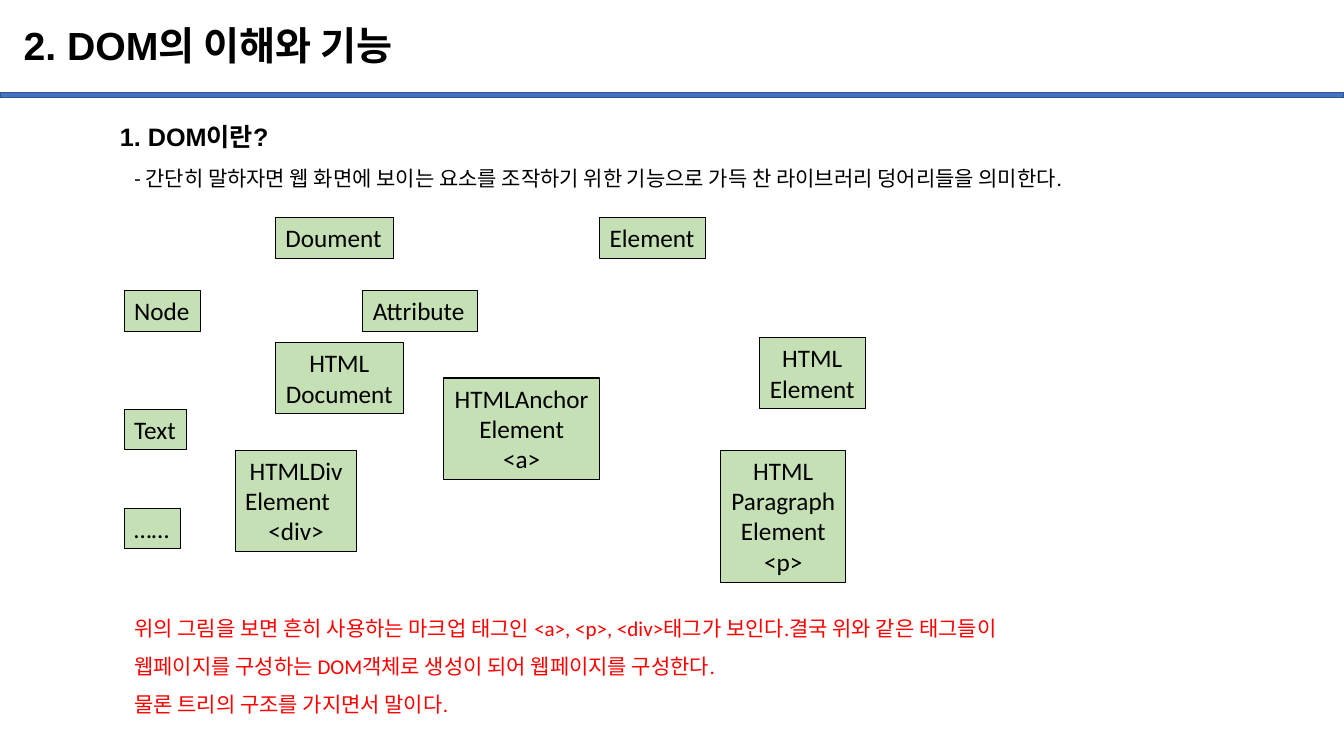
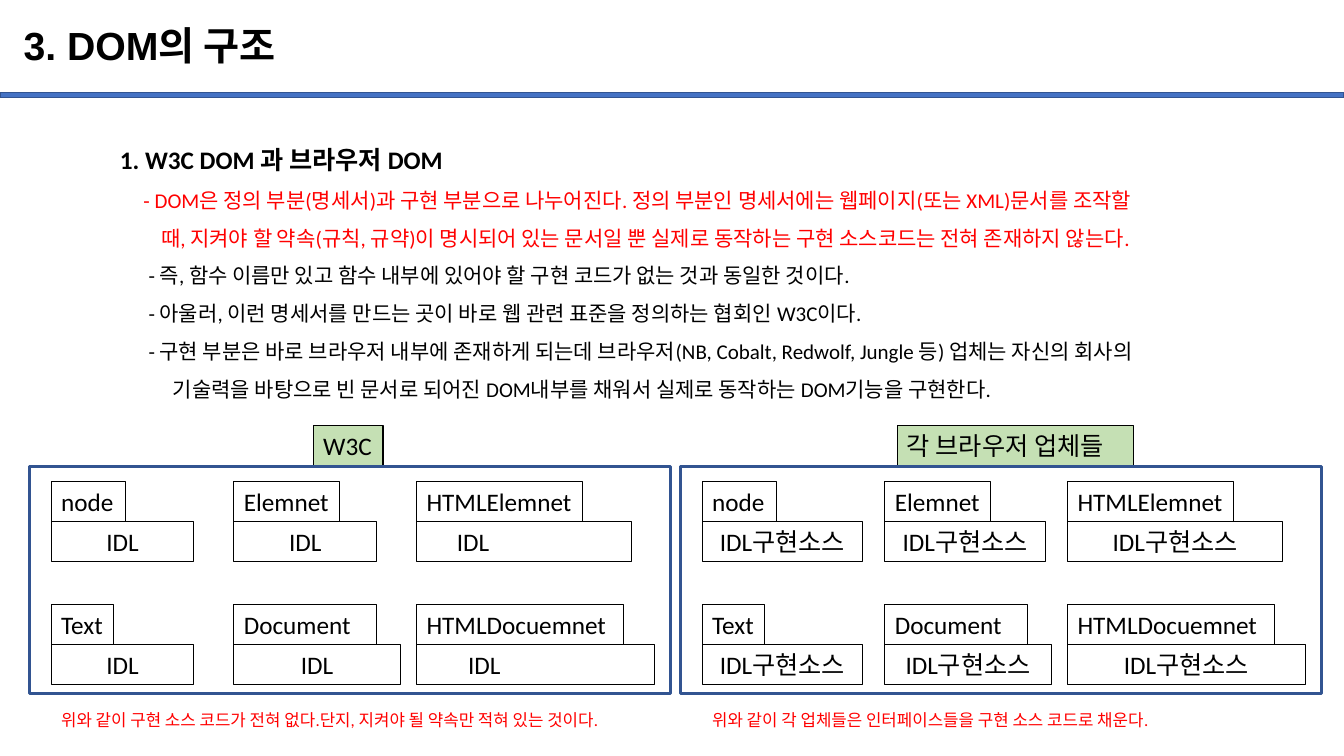
"""Build two slides on what the DOM is and how it is structured."""
from dataclasses import dataclass
from typing import Optional

from pptx import Presentation
from pptx import util as u
from pptx.dml.color import RGBColor
from pptx.enum import shapes, text

BLACK = RGBColor(0x00, 0x00, 0x00)
WHITE = RGBColor(0xFF, 0xFF, 0xFF)
RED = RGBColor(0xFF, 0x00, 0x00)
GREEN = RGBColor(0xC5, 0xE0, 0xB4)
BLUE = RGBColor(0x44, 0x72, 0xC4)
NAVY = RGBColor(0x32, 0x54, 0x91)

WIDTH, HEIGHT = u.Inches(13.333), u.Inches(7.5)
COLUMNS, ROWS = 160, 90
BODY_FONT, TITLE_FONT = "Calibri", "Arial"
LEFT, CENTER = text.PP_ALIGN.LEFT, text.PP_ALIGN.CENTER
BOX_ROWS = 4.8


@dataclass(frozen=True)
class Area:
    """A rectangle in grid columns and rows."""
    column: float
    row: float
    columns: float
    rows: float

    def emu(self) -> tuple[int, int, int, int]:
        """Return left, top, width and height as lengths."""
        return (round(self.column * WIDTH / COLUMNS), round(self.row * HEIGHT / ROWS),
                round(self.columns * WIDTH / COLUMNS), round(self.rows * HEIGHT / ROWS))


@dataclass(frozen=True)
class Line:
    """One paragraph with its look."""
    words: str
    size: float = 18
    color: RGBColor = BLACK
    bold: bool = False
    font: str = BODY_FONT
    align: text.PP_ALIGN = LEFT
    indent: float = 0
    spacing: Optional[float] = None


@dataclass(frozen=True)
class NodeBox:
    """A DOM node type; its height follows from its number of lines."""
    words: str
    column: float
    row: float
    columns: float
    left_line: int = -1


@dataclass(frozen=True)
class Interface:
    """A DOM interface with the widths of its name and body boxes."""
    name: str
    name_columns: float
    body_columns: float
    shifted: bool = False


@dataclass(frozen=True)
class Panel:
    """One side of the comparison between definition and implementation."""
    owner: str
    column: float
    owner_offset: float
    owner_columns: float
    body: str
    min_columns: float
    shifts_body: bool
    caption: str


def write(frame, lines: list[Line]) -> None:
    """Put the lines into a text frame and format them."""
    frame.text = "\n".join(line.words for line in lines)
    for paragraph, line in zip(frame.paragraphs, lines):
        paragraph.alignment = line.align
        if line.spacing:
            paragraph.line_spacing = line.spacing
        if line.indent:
            properties = paragraph._p.get_or_add_pPr()
            properties.set("marL", str(round(line.indent * WIDTH / COLUMNS)))
            properties.set("indent", "0")
        for run in paragraph.runs:
            run.font.name = line.font
            run.font.size = u.Pt(line.size)
            run.font.bold = line.bold
            run.font.color.rgb = line.color


def add_text(slide, area: Area, lines: list[Line]) -> None:
    """Add a wrapping text box."""
    frame = slide.shapes.add_textbox(*area.emu()).text_frame
    frame.word_wrap = True
    frame.auto_size = text.MSO_AUTO_SIZE.SHAPE_TO_FIT_TEXT
    write(frame, lines)


def add_rect(slide, area: Area, fill: Optional[RGBColor], outline: RGBColor, weight: float):
    """Add a plain rectangle without a shadow."""
    rect = slide.shapes.add_shape(shapes.MSO_SHAPE.RECTANGLE, *area.emu())
    rect.shadow.inherit = False
    if fill is None:
        rect.fill.background()
    else:
        rect.fill.solid()
        rect.fill.fore_color.rgb = fill
    rect.line.color.rgb = outline
    rect.line.width = u.Pt(weight)
    return rect


def add_label(slide, area: Area, lines: list[Line], fill: RGBColor, wrap: bool = False) -> None:
    """Add a filled box with a thin black outline and text."""
    frame = add_rect(slide, area, fill, BLACK, 0.75).text_frame
    frame.vertical_anchor = text.MSO_ANCHOR.TOP
    frame.word_wrap = wrap
    frame.auto_size = text.MSO_AUTO_SIZE.SHAPE_TO_FIT_TEXT
    write(frame, lines)


def add_titled_slide(deck, title: str):
    """Add a title-only slide and format its title."""
    slide = deck.slides.add_slide(deck.slide_layouts[5])
    heading = slide.shapes.title
    heading.left, heading.top, heading.width, heading.height = Area(1.6, 1.2, 138, 8.9).emu()
    heading.text_frame.vertical_anchor = text.MSO_ANCHOR.MIDDLE
    heading.text_frame.auto_size = text.MSO_AUTO_SIZE.NONE
    write(heading.text_frame, [Line(title, 28, bold=True, font=TITLE_FONT, spacing=0.9)])
    return slide


def add_layout_band(deck, slide) -> None:
    """Place the blue band on the layout that all slides share."""
    band = add_rect(slide, Area(0, 11.04, COLUMNS, 0.6), BLUE, NAVY, 1)
    slide.slide_layout.shapes.element.append(band.element)


def add_node(slide, node: NodeBox) -> None:
    """Draw one node type."""
    words = node.words.split("\n")
    lines = [Line(word, align=LEFT if len(words) == 1 or index == node.left_line else CENTER)
             for index, word in enumerate(words)]
    rows = 1.2 + 3.64 * len(words)
    add_label(slide, Area(node.column, node.row, node.columns, rows), lines, GREEN)


def add_panel(slide, panel: Panel) -> None:
    """Draw a panel with its owner, its grid of interfaces and its caption."""
    frame_row, frame_columns, frame_rows = 55.5, 76.3, 27.1
    first_column = panel.column + 2.6
    add_label(slide, Area(panel.column + panel.owner_offset, 50.65, panel.owner_columns, BOX_ROWS),
              [Line(panel.owner)], GREEN)
    for row_index, interfaces in enumerate(INTERFACES):
        row = 57.3 + 14.7 * row_index
        for column_index, interface in enumerate(interfaces):
            column = first_column + 21.75 * column_index
            columns = max(interface.body_columns, panel.min_columns)
            shifted = interface.shifted and panel.shifts_body
            body = Line(panel.body, align=LEFT if shifted else CENTER,
                        indent=columns / 2 - 9.2 if shifted else 0)
            add_label(slide, Area(column, row, interface.name_columns, BOX_ROWS),
                      [Line(interface.name)], WHITE)
            add_label(slide, Area(column, row + 4.75, columns, BOX_ROWS), [body], WHITE, wrap=True)
    add_text(slide, Area(first_column, 82.7, frame_columns, 4.4),
             [Line(panel.caption, 12, RED, spacing=1.5)])
    add_rect(slide, Area(panel.column, frame_row, frame_columns, frame_rows), None, NAVY, 2.25)


NODES = [
    NodeBox("Doument", 32.8, 25.9, 14),
    NodeBox("Node", 14.8, 34.6, 9.1),
    NodeBox("Attribute", 43.2, 34.6, 13.6),
    NodeBox("Element", 71.4, 25.9, 12.6),
    NodeBox("HTML\nDocument", 32.8, 40.8, 15.2),
    NodeBox("Text", 14.8, 48.7, 7.4),
    NodeBox("……", 14.8, 60.5, 6.7),
    NodeBox("HTMLDiv\nElement\n<div>", 28, 53.6, 14.5, left_line=1),
    NodeBox("HTMLAnchor\nElement\n<a>", 52.8, 45, 18.6),
    NodeBox("HTML\nParagraph\nElement\n<p>", 85.8, 53.6, 14.9),
    NodeBox("HTML\nElement", 90.4, 40.2, 12.6),
]

INTERFACES = [
    [Interface("node", 8.8, 17), Interface("Elemnet", 12.6, 17),
     Interface("HTMLElemnet", 19.8, 25.6, shifted=True)],
    [Interface("Text", 7.4, 17), Interface("Document", 17, 19.8),
     Interface("HTMLDocuemnet", 24.6, 28.3, shifted=True)],
]

PANELS = [
    Panel("W3C", 3.5, 33.8, 8.3, "IDL", 17, True,
          "위와 같이 구현 소스 코드가 전혀 없다.단지, 지켜야 될 약속만 적혀 있는 것이다."),
    Panel("각 브라우저 업체들", 81, 25.8, 28.1, "IDL구현소스", 19.1, False,
          "위와 같이 각 업체들은 인터페이스들을 구현 소스 코드로 채운다."),
]

STRUCTURE = [
    (RED, 2.8, "- DOM은 정의 부분(명세서)과 구현 부분으로 나누어진다. 정의 부분인 명세서에는 "
               "웹페이지(또는 XML)문서를 조작할"),
    (RED, 4.9, "때, 지켜야 할 약속(규칙, 규약)이 명시되어 있는 문서일 뿐 실제로 동작하는 "
               "구현 소스코드는 전혀 존재하지 않는다."),
    (BLACK, 3.4, "- 즉, 함수 이름만 있고 함수 내부에 있어야 할 구현 코드가 없는 것과 동일한 것이다."),
    (BLACK, 3.4, "- 아울러, 이런 명세서를 만드는 곳이 바로 웹 관련 표준을 정의하는 협회인 W3C이다."),
    (BLACK, 3.4, "- 구현 부분은 바로 브라우저 내부에 존재하게 되는데 브라우저"
                 "(NB, Cobalt, Redwolf, Jungle 등) 업체는 자신의 회사의"),
    (BLACK, 6.3, "기술력을 바탕으로 빈 문서로 되어진 DOM내부를 채워서 실제로 동작하는 "
                 "DOM기능을 구현한다."),
]


def build_meaning(deck) -> None:
    """Build the slide on what the DOM is."""
    slide = add_titled_slide(deck, "2. DOM의 이해와 기능")
    add_layout_band(deck, slide)
    add_text(slide, Area(13.1, 12.1, 93.4, 6.1),
             [Line("1. DOM이란?", bold=True, font=TITLE_FONT, spacing=1.5)])
    add_text(slide, Area(13.1, 17.6, 134, 5.3),
             [Line("- 간단히 말하자면 웹 화면에 보이는 요소를 조작하기 위한 기능으로 "
                   "가득 찬 라이브러리 덩어리들을 의미한다.", 15, indent=1.7, spacing=1.5)])
    for node in NODES:
        add_node(slide, node)
    remarks = ["위의 그림을 보면 흔히 사용하는 마크업 태그인 <a>, <p>, <div>태그가 보인다."
               "결국 위와 같은 태그들이 웹페이지를 구성하는 DOM객체로 생성이 되어 웹페이지를 구성한다.",
               "물론 트리의 구조를 가지면서 말이다."]
    add_text(slide, Area(14.8, 71.2, 107.2, 14.4),
             [Line(remark, 15, RED, spacing=1.5) for remark in remarks])


def build_structure(deck) -> None:
    """Build the slide on how the DOM is structured."""
    slide = add_titled_slide(deck, "3. DOM의 구조")
    points = [Line(words, 15, color, indent=indent, spacing=1.5)
              for color, indent, words in STRUCTURE]
    add_text(slide, Area(13.1, 14.8, 133.8, 42.6),
             [Line("1. W3C DOM 과 브라우저 DOM", bold=True, spacing=1.5), *points])
    for panel in PANELS:
        add_panel(slide, panel)


def main() -> None:
    """Build and save the deck."""
    deck = Presentation()
    deck.slide_width, deck.slide_height = WIDTH, HEIGHT
    build_meaning(deck)
    build_structure(deck)
    deck.save("out.pptx")


main()
